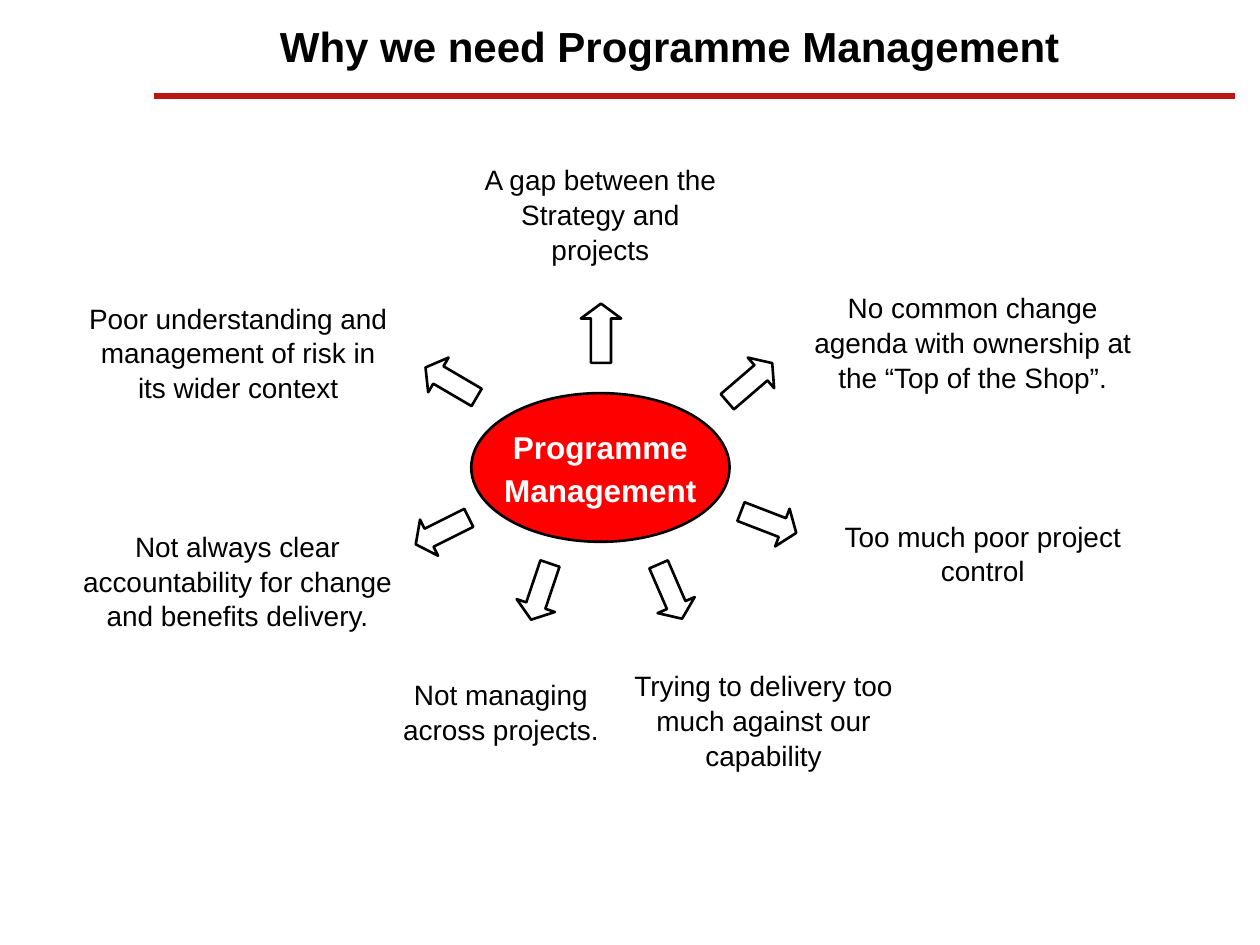
from lxml.etree import SubElement as Sub
from pptx import Presentation as Deck
from pptx.dml.color import RGBColor as Rgb
from pptx.enum.shapes import MSO_CONNECTOR as Conn, MSO_SHAPE as Form
from pptx.enum.text import MSO_ANCHOR as Anchor, MSO_AUTO_SIZE as Fit, PP_ALIGN as Align
from pptx.oxml.ns import qn
from pptx.util import Inches, Pt

BLACK, WHITE, RED, RULE = "000000", "FFFFFF", "FF0000", "B91713"
FRAME = dict(margin_left=Inches(0.1), margin_right=Inches(0.1),
             margin_top=Inches(0.05), margin_bottom=Inches(0.05))
NOTES = [
    ((3.66, 1.23, 2.21, 0.9), "A gap between the Strategy and projects"),
    ((6.34, 2.25, 2.76, 0.9),
     "No common change agenda with ownership at the “Top of the Shop”."),
    ((6.42, 4.06, 2.76, 0.64), "Too much poor project control"),
    ((4.84, 5.25, 2.44, 0.9), "Trying to delivery too much against our capability"),
    ((2.95, 5.32, 2.05, 0.64), "Not managing across projects."),
    ((0.43, 4.14, 2.91, 0.9),
     "Not always clear accountability for change and benefits delivery."),
    ((0.59, 2.33, 2.6, 0.9),
     "Poor understanding and management of risk in its wider context"),
]
ARROWS = [(4.61, 2.41, 0), (5.79, 2.8, 49.3), (5.94, 3.91, 111.1), (5.16, 4.46, 156.6),
          (4.13, 4.46, 198.6), (3.35, 3.98, 243.4), (3.42, 2.8, 300.4)]


def apply(item, values):
    """Set each attribute of the item from the dict."""
    for name, value in values.items():
        setattr(item, name, value)


def tint(part, code):
    """Colour a font, fill or line with a hex string."""
    if hasattr(part, "solid"):
        part.solid()
        part.fore_color.rgb = Rgb.from_string(code)
    else:
        part.color.rgb = Rgb.from_string(code)


def spot(box):
    """Turn a box in inches into lengths."""
    return [Inches(n) for n in box]


def write(frame, lines, size, code=BLACK, bold=False, gap=0, pitch=1.0, **more):
    """Fill a text frame with centred paragraphs."""
    apply(frame, {**FRAME, **more})
    frame.text = "\n".join(lines)
    for para in frame.paragraphs:
        apply(para, dict(alignment=Align.CENTER, space_before=Pt(gap), line_spacing=pitch))
        for run in para.runs:
            apply(run.font, dict(name="Arial", size=Pt(size), bold=bold))
            tint(run.font, code)


def shape(slide, form, box):
    """Add a preset shape with a black outline and no shadow."""
    item = slide.shapes.add_shape(form, *spot(box))
    item.shadow.inherit = False
    item.line.width = Pt(1.5)
    tint(item.line, BLACK)
    return item


def head(slide, box):
    """Place the title and the red rule under it."""
    title = slide.shapes.title
    apply(title, dict(zip(("left", "top", "width", "height"), spot(box))))
    write(title.text_frame, ["Why we need Programme Management"], 24, bold=True,
          word_wrap=True, vertical_anchor=Anchor.MIDDLE)
    left, top, wide, high = box
    base = top + high
    rule = slide.shapes.add_connector(
        Conn.STRAIGHT, *spot((left - 0.08, base, left + wide + 0.47, base)))
    rule.line.width = Pt(3.25)
    tint(rule.line, RULE)
    Sub(rule._element.spPr, qn("a:effectLst"))


def hub(slide, box):
    """Place the central ellipse."""
    core = shape(slide, Form.OVAL, box)
    tint(core.fill, RED)
    write(core.text_frame, ["Programme", "Management"], 18, WHITE, True, 2.2, 1.04,
          word_wrap=False, vertical_anchor=Anchor.MIDDLE)


def arrow(slide, box, turn):
    """Place one outlined arrow, turned clockwise from upright."""
    item = shape(slide, Form.UP_ARROW, box)
    item.fill.background()
    item.rotation = turn
    item.adjustments[0], item.adjustments[1] = 0.5, 0.37


def note(slide, box, text):
    """Place one reason around the hub."""
    item = slide.shapes.add_textbox(*spot(box))
    write(item.text_frame, [text], 16, gap=10, pitch=1.04, word_wrap=True,
          auto_size=Fit.SHAPE_TO_FIT_TEXT, vertical_anchor=Anchor.TOP)


def main():
    """Build the slide and save it."""
    deck = Deck()
    apply(deck, dict(slide_width=Inches(10), slide_height=Inches(7.5)))
    slide = deck.slides.add_slide(deck.slide_layouts[5])
    head(slide, (1.3, -0.03, 8.03, 0.79))
    hub(slide, (3.74, 3.12, 2.05, 1.18))
    for box, text in NOTES:
        note(slide, box, text)
    for left, top, turn in ARROWS:
        arrow(slide, (left, top, 0.32, 0.47), turn)
    deck.save("out.pptx")


if __name__ == "__main__":
    main()
